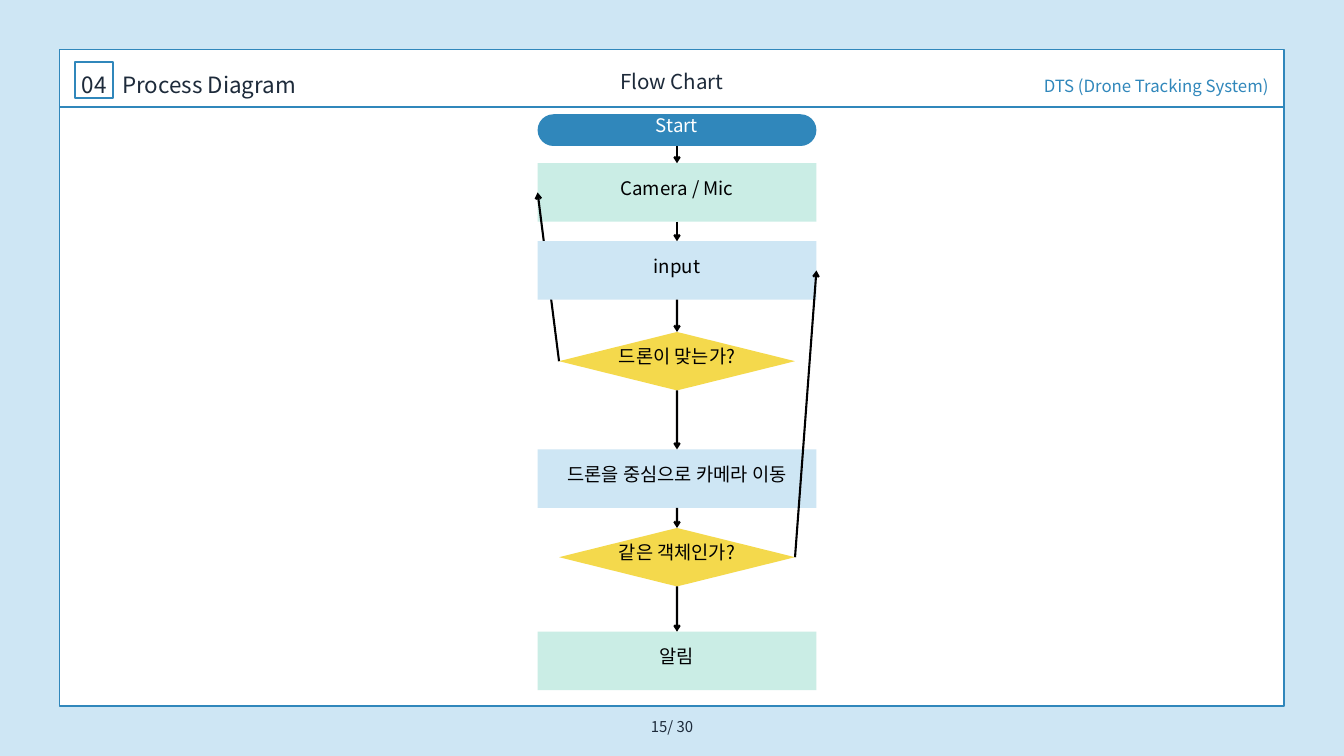
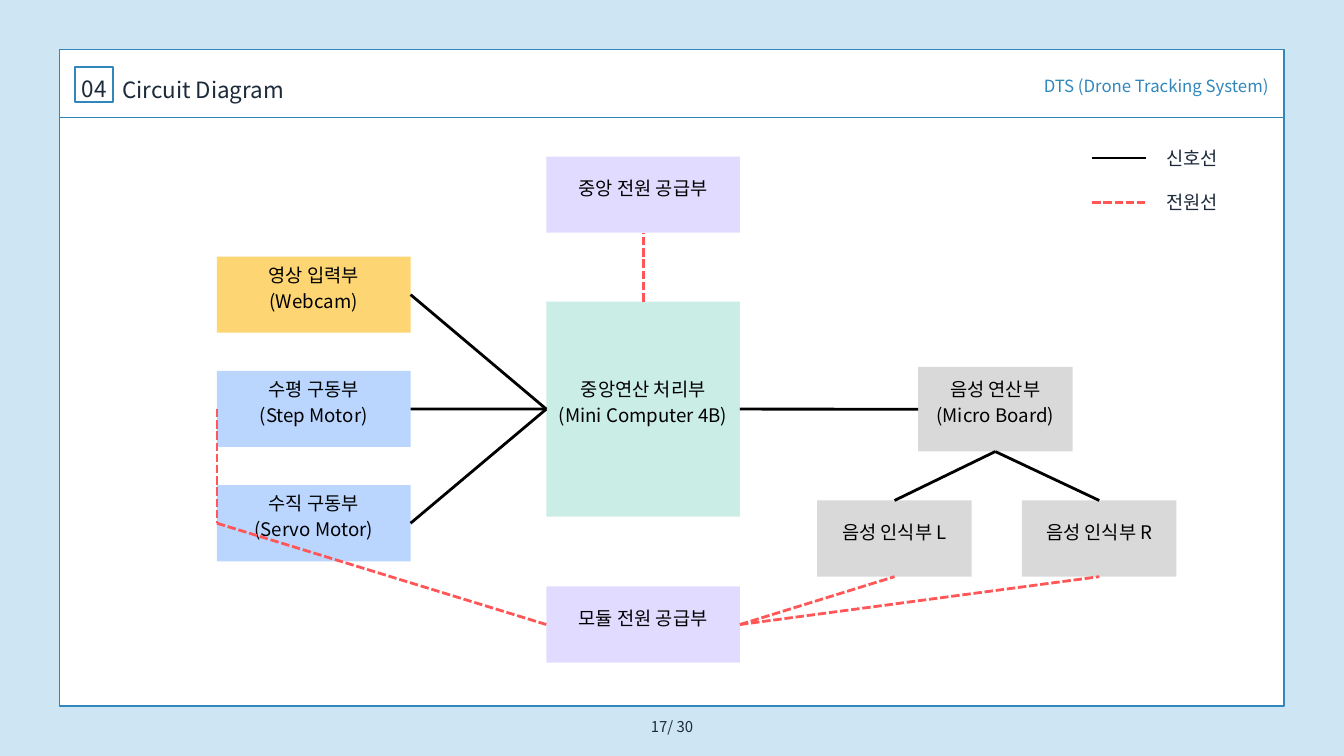
from lxml.etree import SubElement
from pptx import Presentation
from pptx.dml.color import RGBColor
from pptx.enum.dml import MSO_LINE as Dash
from pptx.enum.shapes import MSO_CONNECTOR as Link, MSO_SHAPE as Shape
from pptx.enum.text import MSO_ANCHOR as Anchor, PP_ALIGN as Align
from pptx.oxml.ns import qn
from pptx.util import Cm, Pt

SKY, BLUE, INK, BLACK, WHITE = "CEE6F4", "3087BB", "1D2A3A", "000001", "FFFFFF"
MINT, YELLOW, LILAC, AMBER = "CAEDE5", "F4D94C", "E1DCFF", "FDD673"
AZURE, GREY, RED = "BAD6FF", "D9D9D9", "FF5757"
NOTO, LATIN = "Noto Sans CJK KR", "Calibri"
TOP, LEFT, BOTTOM, RIGHT = range(4)
PILL, BOX, GEM = Shape.ROUNDED_RECTANGLE, Shape.RECTANGLE, Shape.DIAMOND

# Flow chart, back to front: text, kind, top, fill
AXIS = 25.59
SIZES = {PILL: (10.54, 1.2), BOX: (10.54, 2.21), GEM: (8.92, 2.21)}
STEPS = {
    "drone": ("드론이 맞는가?", GEM, 12.55, YELLOW),
    "start": ("Start", PILL, 4.32, BLUE),
    "camera": ("Camera / Mic", BOX, 6.17, MINT),
    "alarm": ("알림", BOX, 23.88, MINT),
    "input": ("input", BOX, 9.12, SKY),
    "move": ("드론을 중심으로 카메라 이동", BOX, 16.99, SKY),
    "same": ("같은 객체인가?", GEM, 19.96, YELLOW),
}
CHAIN = ["start", "camera", "input", "drone", "move", "same", "alarm"]
FLOW = [(a, BOTTOM, b, TOP, BLACK) for a, b in zip(CHAIN, CHAIN[1:])]
FLOW += [("drone", LEFT, "camera", LEFT, BLACK),
         ("same", RIGHT, "input", RIGHT, BLACK)]

# Circuit, back to front: text, left, top, width, height, fill
WIDE, SLIM, TALL = 7.32, 5.84, 2.88
COL, MID = 8.2, 20.65
ROWS = [9.7 + 4.32 * i for i in range(3)]
PARTS = {
    "module": ("모듈 전원 공급부", MID, 22.17, WIDE, TALL, LILAC),
    "core": ("중앙연산 처리부\n(Mini Computer 4B)", MID, 11.4, WIDE, 8.13, MINT),
    "video": ("영상 입력부\n(Webcam)", COL, ROWS[0], WIDE, TALL, AMBER),
    "servo": ("수직 구동부\n(Servo Motor)", COL, ROWS[2], WIDE, TALL, AZURE),
    "step": ("수평 구동부\n(Step Motor)", COL, ROWS[1], WIDE, TALL, AZURE),
    "ear_l": ("음성 인식부 L", 30.89, 18.92, SLIM, TALL, GREY),
    "ear_r": ("음성 인식부 R", 38.63, 18.92, SLIM, TALL, GREY),
    "voice": ("음성 연산부\n(Micro Board)", 34.7, 13.87, SLIM, 3.2, GREY),
    "power": ("중앙 전원 공급부", MID, 5.92, WIDE, TALL, LILAC),
}
WIRES = [
    ("core", TOP, "power", BOTTOM, RED),
    ("core", RIGHT, "voice", LEFT, BLACK),
    ("ear_l", TOP, "voice", BOTTOM, BLACK),
    ("voice", BOTTOM, "ear_r", TOP, BLACK),
    ("servo", RIGHT, "core", LEFT, BLACK),
    ("video", RIGHT, "core", LEFT, BLACK),
    ("step", RIGHT, "core", LEFT, BLACK),
    ("module", RIGHT, "ear_l", BOTTOM, RED),
    ("module", RIGHT, "ear_r", BOTTOM, RED),
    ("servo", LEFT, "module", LEFT, RED),
    ("step", LEFT, "servo", LEFT, RED),
]
LEGEND = [("신호선", 5.97, BLACK), ("전원선", 7.65, RED)]


def color(code):
    return RGBColor.from_string(code)


def write(frame, text, size, hue, lead, align=Align.CENTER, pad=(0, 0, 0, 0)):
    """Fill a text frame; pad is left, top, right, bottom."""
    frame.margin_left, frame.margin_top, frame.margin_right, frame.margin_bottom = map(Cm, pad)
    frame.word_wrap = True
    frame.text = text
    for para in frame.paragraphs:
        para.alignment = align
        para.line_spacing = Pt(lead)
        for run in para.runs:
            hangul = all(c == " " or not c.isascii() for c in run.text)
            font = run.font
            font.size = Pt(size)
            font.color.rgb = color(hue)
            font.name = LATIN if hangul else NOTO
            SubElement(font._element, qn("a:ea"), typeface=NOTO)


def label(slide, text, area, size, hue, lead, align=Align.CENTER):
    box = slide.shapes.add_textbox(*map(Cm, area))
    write(box.text_frame, text, size, hue, lead, align)


def block(slide, kind, area, fill, edge=None, width=1.5):
    item = slide.shapes.add_shape(kind, *map(Cm, area))
    item.shadow.inherit = False
    item.fill.solid()
    item.fill.fore_color.rgb = color(fill)
    if edge:
        item.line.color.rgb = color(edge)
        item.line.width = Pt(width)
    else:
        item.line.fill.background()
    return item


def stroke(slide, ends, hue, width, arrow=False):
    line = slide.shapes.add_connector(Link.STRAIGHT, *map(Cm, ends))
    line.line.color.rgb = color(hue)
    line.line.width = Pt(width)
    if hue == RED:
        line.line.dash_style = Dash.SQUARE_DOT
    if arrow:
        SubElement(line.line._get_or_add_ln(), qn("a:tailEnd"), type="arrow")
    SubElement(line._element.spPr, qn("a:effectLst"))
    return line


def graph(slide, nodes, links, lift, width, arrow=False):
    """Add the nodes in order, and each link once both its ends are there."""
    done = {}
    for key, (text, kind, area, fill) in nodes.items():
        item = done[key] = block(slide, kind, area, fill)
        if kind == PILL:
            item.adjustments[0] = 0.5
        side = 0 if kind == GEM else 0.13
        write(item.text_frame, text, 20, WHITE if fill == BLUE else BLACK, 28,
              pad=(side, 0, side, lift))
        item.text_frame.vertical_anchor = Anchor.MIDDLE
        item.text_frame.word_wrap = kind != GEM
        for a, out, b, into, hue in links:
            if key in (a, b) and a in done and b in done:
                line = stroke(slide, (0, 0, 0, 0), hue, width, arrow)
                line.begin_connect(done[a], out)
                line.end_connect(done[b], into)


def page(deck, title, number, rule, badge):
    """Add a slide with its frame, header and page number."""
    slide = deck.slides.add_slide(deck.slide_layouts[6])
    slide.background.fill.solid()
    slide.background.fill.fore_color.rgb = color(SKY)
    block(slide, BOX, (2.26, 1.88, 46.28, 24.81), WHITE, BLUE)
    stroke(slide, (2.26, rule, 48.54, rule), BLUE, 1.5)
    mark = block(slide, BOX, (2.85, badge, 1.43, 1.35), WHITE, BLUE, 2.25)
    write(mark.text_frame, "04", 24, INK, 28.8)
    mark.text_frame.vertical_anchor = Anchor.BOTTOM
    label(slide, title, (4.62, badge + 0.36, 14.4, 1), 24, INK, 28.8, Align.LEFT)
    label(slide, "DTS (Drone Tracking System)", (36.8, 2.74, 11.15, 0.86),
          18, BLUE, 25.2, Align.RIGHT)
    label(slide, f"{number}/ 30", (20, 27.13, 10.8, 0.69), 16, INK, 19.2)
    return slide


def flow_page(deck):
    slide = page(deck, "Process Diagram", 15, 4.04, 2.34)
    label(slide, "Flow Chart", (23.09, 2.44, 4.6, 1.04), 22, INK, 30.8)
    nodes = {}
    for key, (text, kind, top, fill) in STEPS.items():
        wide, high = SIZES[kind]
        nodes[key] = text, kind, (AXIS - wide / 2, top, wide, high), fill
    graph(slide, nodes, FLOW, 0.51, 2.25, arrow=True)


def circuit_page(deck):
    slide = page(deck, "Circuit Diagram", 17, 4.45, 2.52)
    nodes = {key: (text, BOX, area, fill)
             for key, (text, *area, fill) in PARTS.items()}
    graph(slide, nodes, WIRES, 0.66, 3)
    for text, y, hue in LEGEND:
        stroke(slide, (41.28, y, 43.31, y), hue, 3)
        label(slide, text, (43.31, y - 0.43, 3.48, 0.86), 20, INK, 24)


def main():
    deck = Presentation()
    deck.slide_width, deck.slide_height = Cm(50.8), Cm(28.58)
    flow_page(deck)
    circuit_page(deck)
    deck.save("out.pptx")


if __name__ == "__main__":
    main()
